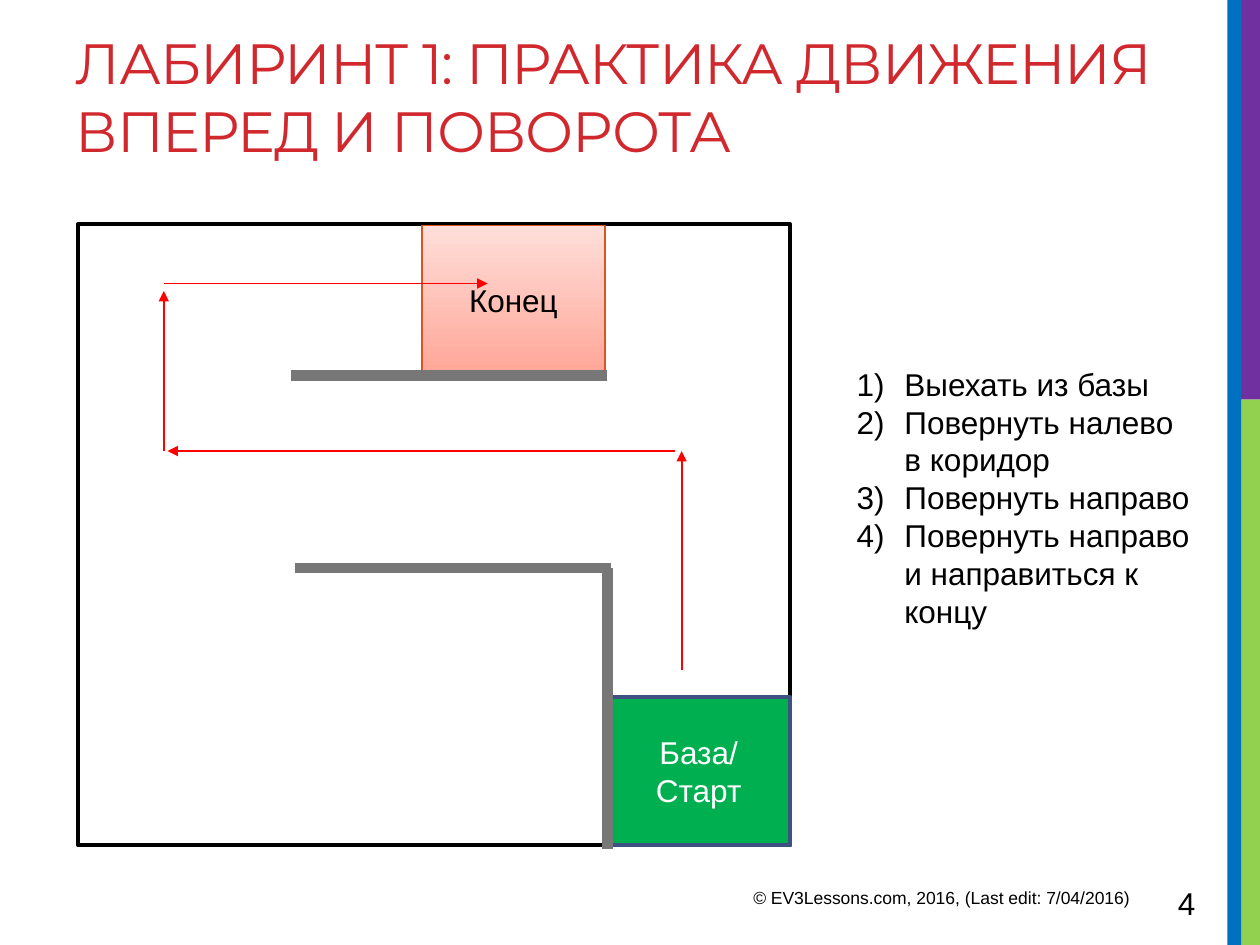
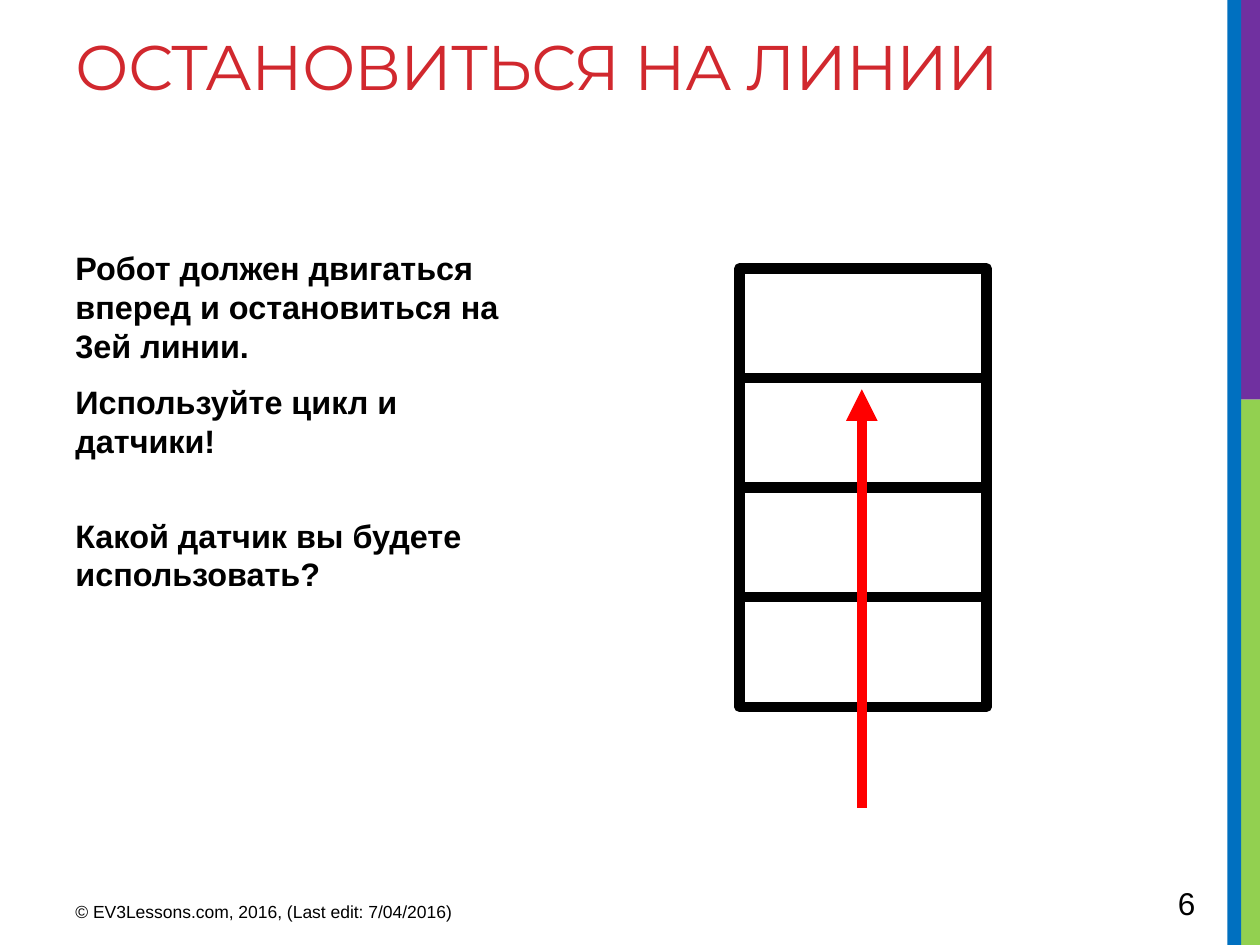
from dataclasses import dataclass

from lxml.etree import SubElement
from pptx import Presentation
from pptx.dml.color import RGBColor
from pptx.enum.shapes import MSO_CONNECTOR as Connector, MSO_SHAPE as Preset
from pptx.enum.text import MSO_ANCHOR as Anchor, PP_ALIGN as Align
from pptx.oxml.ns import qn
from pptx.util import Inches, Pt


@dataclass(frozen=True)
class Theme:
    title_font: str = "Montserrat"
    body_font: str = "Arial"
    title: str = "D1282E"
    text: str = "000000"
    paper: str = "FFFFFF"
    route: str = "FF0000"
    wall: str = "777777"
    base: str = "00B050"
    base_edge: str = "3D5182"
    finish: tuple = ("FFA698", "FFDED9")
    finish_edge: str = "DC551F"
    blue: str = "0070C0"
    green: str = "92D050"
    purple: str = "7030A0"
    body_size: float = 18
    task_size: float = 18.5
    footer_size: float = 10
    thin: float = 1
    frame: float = 2.25
    thick: float = 6


THEME = Theme()
WIDTH, HEIGHT = 10, 7.5
MARGIN = 0.5
BAND_SPLIT = 3.17
BANDS = [  # left, top, right, bottom, colour
    (9.84, BAND_SPLIT, WIDTH, HEIGHT, THEME.green),
    (9.84, 0, WIDTH, BAND_SPLIT, THEME.purple),
    (9.74, 0, 9.85, HEIGHT, THEME.blue),
]
FOOTER = "© EV3Lessons.com, 2016, (Last edit: 7/04/2016)"

MAZE = {
    "title": "ЛАБИРИНТ 1: ПРАКТИКА ДВИЖЕНИЯ ВПЕРЕД И ПОВОРОТА",
    "title_size": 32.4,
    "number": 4,
    "footer_at": (5.88, 6.99),
    "steps": ["Выехать из базы", "Повернуть налево в коридор", "Повернуть направо",
              "Повернуть направо и направиться к концу"],
    "base": ["База/", "Старт"],
    "finish": ["Конец"],
    "walls": [((4.82, 6.74), (4.82, 4.51)), ((4.85, 4.51), (2.34, 4.51)),
              ((4.82, 2.98), (2.31, 2.98))],
    "route": [((5.41, 5.32), (5.41, 3.58)), ((5.36, 3.58), (1.33, 3.58)),
              ((1.3, 3.58), (1.3, 2.31)), ((1.3, 2.25), (3.87, 2.25))],
}
LINES = {
    "title": "ОСТАНОВИТЬСЯ НА ЛИНИИ",
    "title_size": 36,
    "number": 6,
    "footer_at": (MARGIN, 7.1),
    "task": ["Робот должен двигаться вперед и остановиться на 3ей линии.",
             "Используйте цикл и датчики!", "Какой датчик вы будете использовать?"],
    "space_before": [0, 3.7, 26],
    "cells": 4,
    "route": ((6.84, 6.41), (6.84, 3.09)),
}


def color(value):
    return RGBColor.from_string(value)


def style(paragraph, size, ink=THEME.text, name=THEME.body_font, bold=False):
    font = paragraph.font
    font.name, font.size, font.bold = name, Pt(size), bold
    font.color.rgb = color(ink)


def write(shape, lines, size, ink=THEME.text, bold=False, align=Align.LEFT, anchor=Anchor.TOP):
    """Fill a shape with one paragraph per line and return the paragraphs."""
    frame = shape.text_frame
    frame.word_wrap = True
    frame.vertical_anchor = anchor
    frame.text = "\n".join(lines)
    for paragraph in frame.paragraphs:
        paragraph.alignment = align
        style(paragraph, size, ink, bold=bold)
    return frame.paragraphs


def add_text(slide, box, lines, size, **options):
    return write(slide.shapes.add_textbox(*map(Inches, box)), lines, size, **options)


def add_box(slide, box, fill=None, edge=None, weight=THEME.frame):
    shape = slide.shapes.add_shape(Preset.RECTANGLE, *map(Inches, box))
    shape.shadow.inherit = False
    if fill:
        shape.fill.solid()
        shape.fill.fore_color.rgb = color(fill)
    else:
        shape.fill.background()
    if edge:
        shape.line.color.rgb = color(edge)
        shape.line.width = Pt(weight)
    else:
        shape.line.fill.background()
    return shape


def add_line(slide, start, end, ink, weight, arrow=False):
    line = slide.shapes.add_connector(Connector.STRAIGHT, *map(Inches, start + end))
    line.line.color.rgb = color(ink)
    line.line.width = Pt(weight)
    if arrow:
        SubElement(line.line._get_or_add_ln(), qn("a:tailEnd"), type="triangle")
    SubElement(line._element.spPr, qn("a:effectLst"))


def number_paragraph(paragraph, indent=0.38):
    properties = paragraph._p.get_or_add_pPr()
    properties.set("marL", str(Inches(indent)))
    properties.set("indent", str(-Inches(indent)))
    properties.insert(0, properties.makeelement(qn("a:buAutoNum"), {"type": "arabicParenR"}))


def add_base_slide(presentation, content):
    """Add a slide with its bands, title, footer and number."""
    slide = presentation.slides.add_slide(presentation.slide_layouts[5])
    for left, top, right, bottom, fill in BANDS:
        add_box(slide, (left, top, right - left, bottom - top), fill)
    title = slide.shapes.title
    title.left, title.top, title.width, title.height = map(Inches, (MARGIN, 0.17, 9.02, 1.5))
    paragraph = write(title, [content["title"]], content["title_size"])[0]
    style(paragraph, content["title_size"], THEME.title, THEME.title_font)
    paragraph.runs[0]._r.get_or_add_rPr().set("spc", "-60")
    add_text(slide, (*content["footer_at"], 3.75, 0.31), [FOOTER], THEME.footer_size)
    add_text(slide, (9.25, 6.97, 0.69, 0.4), [str(content["number"])], THEME.body_size)
    return slide


def build_maze(presentation):
    slide = add_base_slide(presentation, MAZE)
    left, top, width, height = 0.62, 1.78, 5.65, 4.93
    room_width, room_height = 1.45, 1.18
    centred = {"align": Align.CENTER, "anchor": Anchor.MIDDLE}
    add_box(slide, (left, top, width, height), THEME.paper, THEME.text)
    base = add_box(slide, (left + width - room_width, top + height - room_height,
                           room_width, room_height), THEME.base, THEME.base_edge)
    write(base, MAZE["base"], THEME.body_size, THEME.paper, **centred)

    finish = add_box(slide, (3.35, 1.79, room_width, room_height),
                     edge=THEME.finish_edge, weight=THEME.thin)
    finish.fill.gradient()
    finish.fill.gradient_angle = 90
    for stop, tint in zip(finish.fill.gradient_stops, THEME.finish):
        stop.color.rgb = color(tint)
    write(finish, MAZE["finish"], THEME.body_size, **centred)

    steps = add_text(slide, (6.7, 2.8, 2.9, 2.29), MAZE["steps"], THEME.body_size,
                     anchor=Anchor.MIDDLE)
    for paragraph in steps:
        number_paragraph(paragraph)
    for start, end in MAZE["walls"]:
        add_line(slide, start, end, THEME.wall, THEME.thick)
    for start, end in MAZE["route"]:
        add_line(slide, start, end, THEME.route, THEME.thin, arrow=True)


def build_lines(presentation):
    slide = add_base_slide(presentation, LINES)
    task = add_text(slide, (MARGIN, 1.92, 3.75, 2.58), LINES["task"], THEME.task_size, bold=True)
    for paragraph, before in zip(task, LINES["space_before"]):
        paragraph.space_before, paragraph.space_after = Pt(before), Pt(6)
    pitch = 0.87
    for row in range(LINES["cells"]):
        add_box(slide, (5.87, 2.13 + row * pitch, 1.96, pitch),
                edge=THEME.text, weight=THEME.thick)
    add_line(slide, *LINES["route"], THEME.route, THEME.thick, arrow=True)


def main():
    presentation = Presentation()
    presentation.slide_width, presentation.slide_height = Inches(WIDTH), Inches(HEIGHT)
    build_maze(presentation)
    build_lines(presentation)
    presentation.save("out.pptx")


if __name__ == "__main__":
    main()
